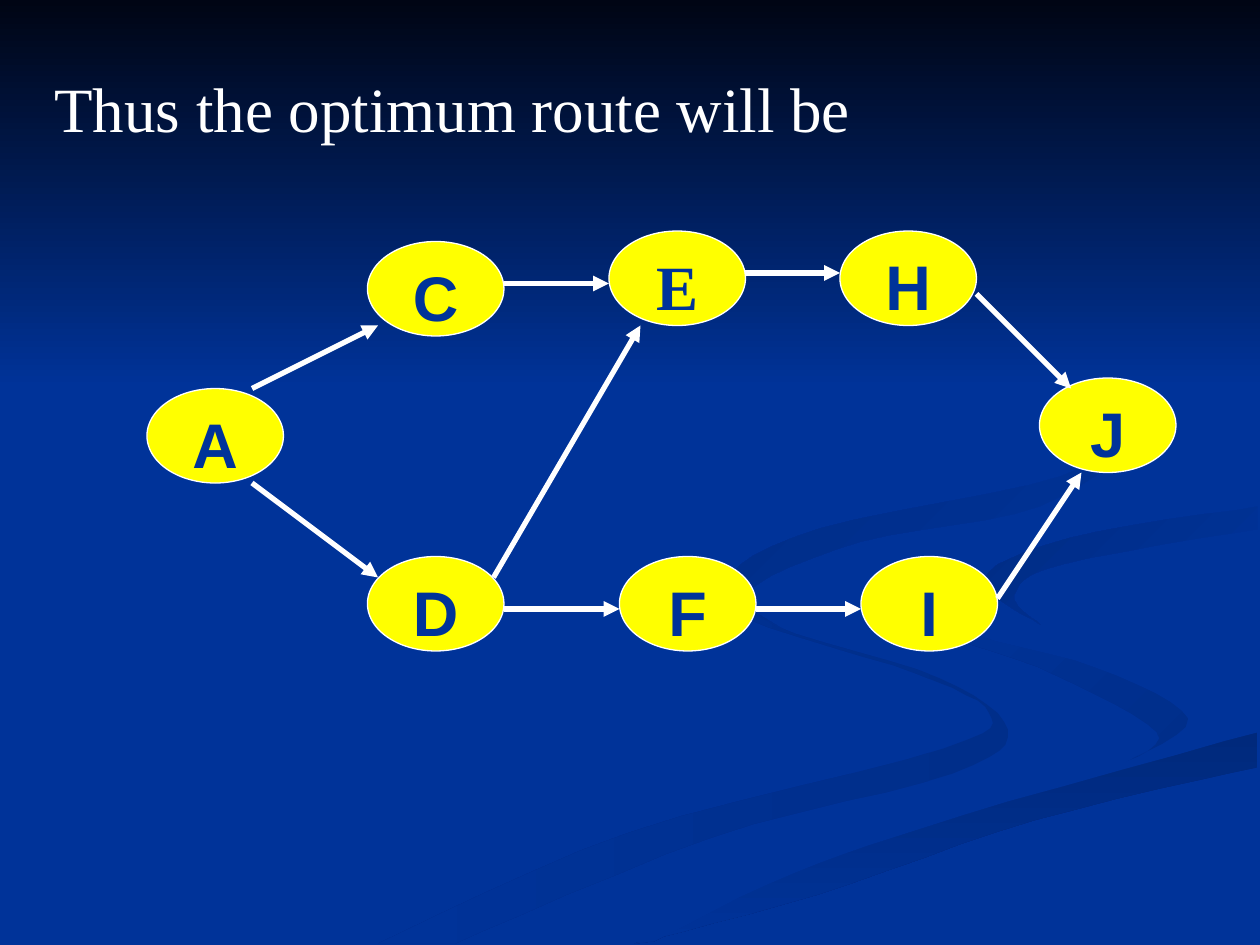
"""Builds a slide with the optimum route drawn as a network of nodes and arrows."""
from lxml.etree import SubElement
from pptx import Presentation
from pptx.dml.color import RGBColor
from pptx.enum.shapes import MSO_CONNECTOR as Connector, MSO_SHAPE as Preset
from pptx.enum.text import MSO_AUTO_SIZE as AutoSize, PP_ALIGN as Align
from pptx.oxml.ns import qn
from pptx.util import Inches, Pt

NAVY, WHITE, YELLOW = "003399", "FFFFFF", "FFFF00"
STEPS = 6


def color(code):
    return RGBColor.from_string(code)


def add_label(column, row, columns, words, font_name, ink, bold, align):
    box = slide.shapes.add_textbox(column * cell, row * cell, columns * cell, Inches(0.7))
    frame = box.text_frame
    frame.word_wrap = True
    frame.auto_size = AutoSize.SHAPE_TO_FIT_TEXT
    paragraph = frame.paragraphs[0]
    paragraph.alignment = align
    paragraph.space_before = Pt(22.5)
    run = paragraph.add_run()
    run.text = words
    run.font.name, run.font.size, run.font.bold = font_name, Pt(36), bold
    run.font.color.rgb = color(ink)


deck = Presentation()
deck.slide_width, deck.slide_height = Inches(10), Inches(7.5)
cell = deck.slide_width // 120
thousandth = deck.slide_width / 1000
slide = deck.slides.add_slide(deck.slide_layouts[6])
slide.background.fill.solid()
slide.background.fill.fore_color.rgb = color(NAVY)

ribbons = [
    ("002E8A", NAVY, 180, [
        [(574, 459), (593, 491), (728, 535), (785, 566), (749, 594), (499, 661), (300, 749)],
        [(361, 749), (564, 665), (756, 614), (800, 579), (745, 538), (614, 496), (574, 459)]]),
    ("002E8A", NAVY, 225, [
        [(724, 464), (758, 498), (870, 530), (943, 570), (894, 605)],
        [(894, 605), (918, 581), (838, 536), (746, 500), (724, 464)]]),
    ("00297C", NAVY, 90, [
        [(503, 749), (649, 710), (821, 651), (998, 609)],
        [(998, 581), (764, 647), (630, 693), (519, 747)]]),
    (NAVY, NAVY, 0, [
        [(477, 749), (704, 655), (892, 605), (943, 570), (870, 530), (758, 498), (725, 464),
         (770, 427), (999, 387)],
        [(999, 402), (822, 434), (781, 463), (832, 498), (999, 538)],
        [(999, 581), (764, 647), (630, 693), (519, 747)]]),
    (NAVY, "002C85", 225, [
        [(998, 402), (849, 427), (781, 460), (826, 496)],
        [(826, 496), (805, 472), (843, 448), (998, 420)]]),
    (NAVY, "002B81", 225, [
        [(762, 233), (846, 279), (889, 335), (842, 378), (649, 420), (577, 462), (622, 500)],
        [(622, 500), (593, 470), (683, 430), (825, 402), (894, 344), (843, 275), (762, 233)]]),
    ("000514", NAVY, 90, [[(0, 0), (1000, 0)], [(1000, 308), (0, 308)]]),
]
for first, last, angle, edges in ribbons:
    outline = []
    for edge in edges:
        padded = [edge[0], *edge, edge[-1]]
        outline.append(edge[0])
        for a, b, c, d in zip(padded, padded[1:], padded[2:], padded[3:]):
            for t in (step / STEPS for step in range(1, STEPS + 1)):
                outline.append(tuple(
                    q + t * (r - p + t * (2 * p - 5 * q + 4 * r - s + t * (3 * q - 3 * r + s - p))) / 2
                    for p, q, r, s in zip(a, b, c, d)))
    builder = slide.shapes.build_freeform(*outline[0], scale=thousandth)
    builder.add_line_segments(outline[1:], close=True)
    ribbon = builder.convert_to_shape()
    ribbon.shadow.inherit = False
    ribbon.line.fill.background()
    if first == last:
        ribbon.fill.solid()
        ribbon.fill.fore_color.rgb = color(first)
    else:
        ribbon.fill.gradient()
        ribbon.fill.gradient_angle = 360 - angle
        for stop, shade in zip(ribbon.fill.gradient_stops, (first, last)):
            stop.color.rgb = color(shade)

add_label(4, 6, 113, "Thus the optimum route will be", "Times New Roman", WHITE, False, Align.LEFT)

towns = [("A", 14, 37), ("C", 35, 23), ("D", 35, 53), ("E", 58, 22),
         ("F", 59, 53), ("H", 80, 22), ("I", 82, 53), ("J", 99, 36)]
for town, column, row in towns:
    node = slide.shapes.add_shape(Preset.OVAL, column * cell, row * cell, 13 * cell, 9 * cell)
    node.shadow.inherit = False
    node.fill.solid()
    node.fill.fore_color.rgb = color(YELLOW)
    node.line.color.rgb = color(WHITE)
    node.line.width = Pt(0.75)
    font_name = "Times New Roman" if town == "E" else "Arial"
    add_label(column + 3, row + 1, 7, town, font_name, NAVY, True, Align.CENTER)

legs = [(24, 37, 36, 31), (24, 46, 36, 55), (48, 27, 58, 27), (47, 55, 61, 31), (48, 58, 59, 58),
        (71, 26, 80, 26), (93, 28, 102, 37), (72, 58, 82, 58), (95, 57, 103, 45)]
for leg in legs:
    arrow = slide.shapes.add_connector(Connector.STRAIGHT, *(place * cell for place in leg))
    arrow.line.color.rgb = color(WHITE)
    arrow.line.width = Pt(3)
    stroke = arrow.line.fill._xPr
    SubElement(stroke, qn("a:tailEnd"), type="triangle")
    SubElement(stroke.getparent(), qn("a:effectLst"))

deck.save("out.pptx")
